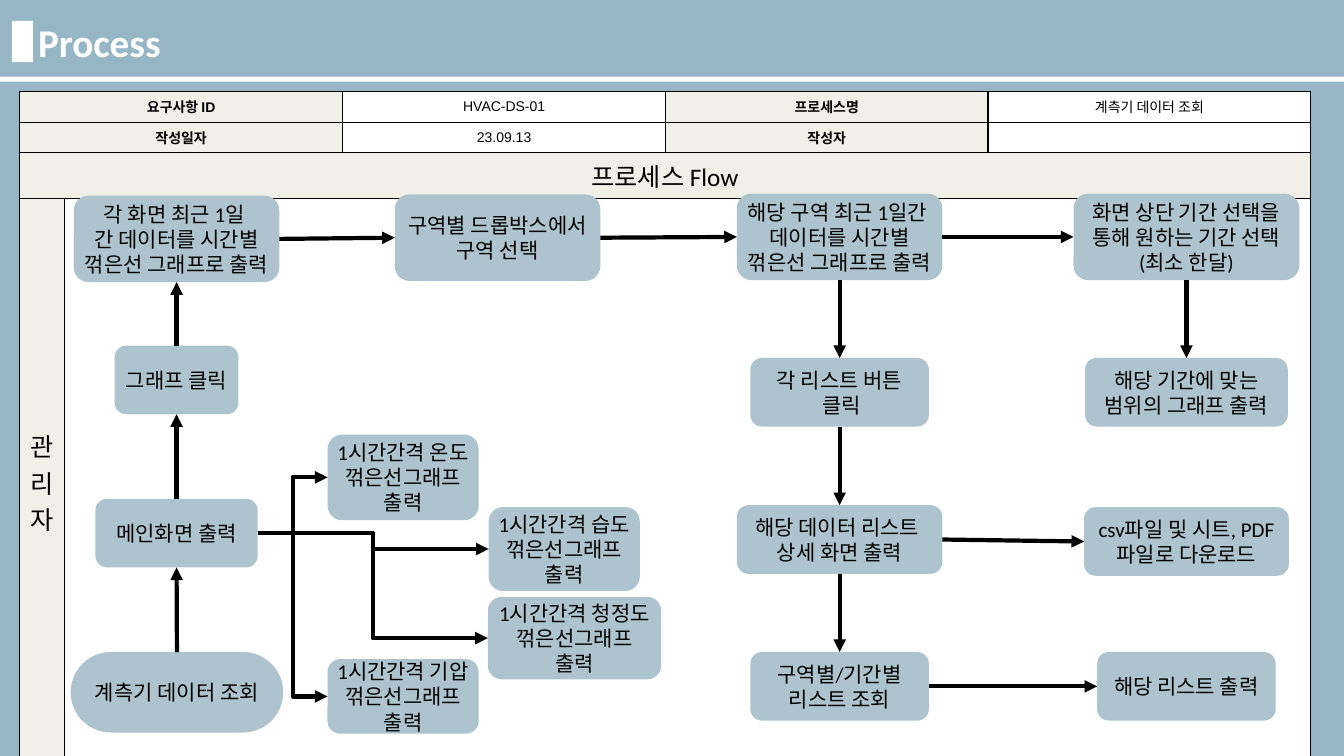
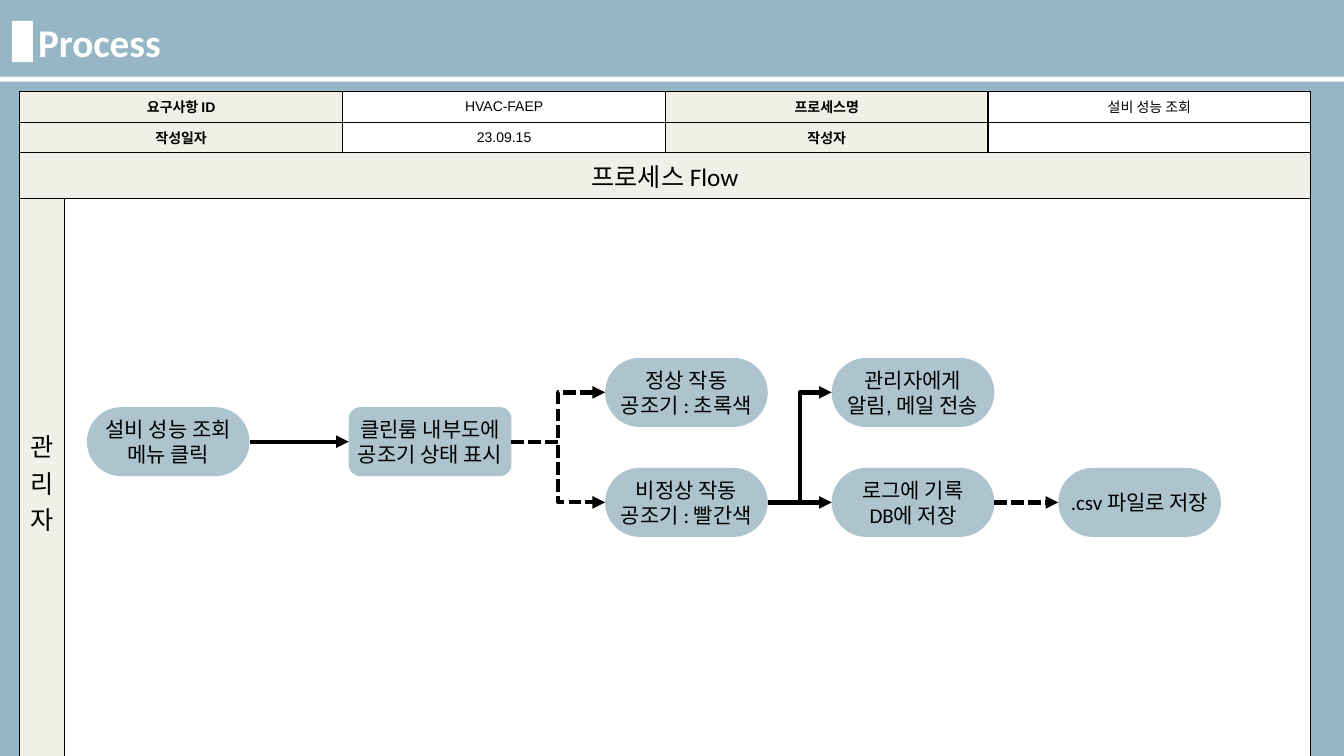
from pptx import Presentation
from pptx.dml.color import RGBColor
from pptx.enum import dml, shapes, text
from pptx.oxml import parse_xml
from pptx.oxml.ns import nsdecls
from pptx.util import Cm, Pt

SKY, BLUE, CREAM, WHITE, BLACK = "96B6C5", "ADC4CE", "F1F0E8", "FFFFFF", "000000"
TOP, LEFT, BOTTOM, RIGHT = range(4)  # connection sites of a box
CENTER = text.PP_ALIGN.CENTER
LINE, ELBOW = shapes.MSO_CONNECTOR.STRAIGHT, shapes.MSO_CONNECTOR.ELBOW
RECT, ROUND = shapes.MSO_SHAPE.RECTANGLE, shapes.MSO_SHAPE.ROUNDED_RECTANGLE


def paint(fill, color):
    fill.solid()
    fill.fore_color.rgb = RGBColor.from_string(color)


def put(frame, words, size=15, font="Calibri", color=BLACK, bold=False, align=CENTER):
    for i, row in enumerate(words.split("\n")):
        para = frame.add_paragraph() if i else frame.paragraphs[0]
        para.alignment = align
        run = para.add_run()
        run.text = row
        run.font.size, run.font.name, run.font.bold = Pt(size), font, bold
        paint(run.font.fill, color)


# Nodes: centre x, top, width, height, corner, text (cm)
data = {
    "query": (4.46, 16.43, 5.36, 2.03, 0.5, "계측기 데이터 조회"),
    "main": (4.45, 12.57, 4.09, 1.73, 0.17, "메인화면 출력"),
    "graph": (4.45, 8.71, 3.12, 1.73, 0.17, "그래프 클릭"),
    "day": (4.45, 4.93, 5.18, 2.18, 0.17,
            "각 화면 최근 1일 \n간 데이터를 시간별\n꺾은선 그래프로 출력"),
    "drop": (12.54, 4.9, 5.18, 2.18, 0.17, "구역별 드롭박스에서\n구역 선택"),
    "zone": (21.16, 4.88, 5.18, 2.18, 0.17,
             "해당 구역 최근 1일간 \n데이터를 시간별\n꺾은선 그래프로 출력"),
    "term": (29.9, 4.88, 5.69, 2.18, 0.17,
             "화면 상단 기간 선택을\n통해 원하는 기간 선택\n(최소 한달)"),
    "range": (29.9, 9.02, 5.11, 1.73, 0.17, "해당 기간에 맞는\n범위의 그래프 출력"),
    "list": (21.16, 9.02, 4.5, 1.73, 0.17, "각 리스트 버튼\n 클릭"),
    "detail": (21.16, 12.73, 5.18, 1.73, 0.17, "해당 데이터 리스트 \n상세 화면 출력"),
    "file": (29.9, 12.78, 5.16, 1.73, 0.17, "csv파일 및 시트, PDF\n파일로 다운로드"),
    "past": (21.16, 16.43, 4.5, 1.73, 0.17, "구역별/기간별\n리스트 조회"),
    "show": (29.9, 16.43, 4.5, 1.73, 0.17, "해당 리스트 출력"),
}
for key, x, y, w, h, word in [
    ("temp", 10.16, 10.95, 3.81, 2.16, "온도"),
    ("humid", 14.22, 12.78, 3.81, 2.11, "습도"),
    ("clean", 14.48, 15.04, 4.37, 2.08, "청정도"),
    ("press", 10.16, 16.61, 3.81, 1.88, "기압"),
]:
    data[key] = (x, y, w, h, 0.17, f"1시간간격 {word}\n꺾은선그래프\n출력")

plant = {
    key: (x, y, 4.1, 1.74, corner, words)
    for key, x, y, corner, words in [
        ("menu", 4.24, 10.26, 0.5, "설비 성능 조회\n메뉴 클릭"),
        ("state", 10.84, 10.26, 0.17, "클린룸 내부도에\n공조기 상태 표시"),
        ("good", 17.3, 9.02, 0.5, "정상 작동\n공조기 : 초록색"),
        ("bad", 17.3, 11.79, 0.5, "비정상 작동\n공조기 : 빨간색"),
        ("alert", 23.01, 9.02, 0.5, "관리자에게\n알림, 메일 전송"),
        ("log", 23.01, 11.79, 0.5, "로그에 기록\nDB에 저장"),
        ("save", 28.72, 11.79, 0.5, ".csv 파일로 저장"),
    ]
}

# Arrows: way, kind, dashed, pairs of nodes
UP, DOWN, ACROSS = (TOP, BOTTOM), (BOTTOM, TOP), (RIGHT, LEFT)
flows = [
    ("HVAC-DS-01", "계측기 데이터 조회", "23.09.13", data, [
        (UP, LINE, False, "query-main main-graph graph-day"),
        (DOWN, LINE, False, "zone-list list-detail detail-past term-range"),
        (ACROSS, LINE, False, "day-drop drop-zone zone-term detail-file past-show"),
        (ACROSS, ELBOW, False, "main-temp main-humid main-clean main-press"),
    ]),
    ("HVAC-FAEP", "설비 성능 조회", "23.09.15", plant, [
        (ACROSS, LINE, False, "menu-state bad-log"),
        (ACROSS, LINE, True, "log-save"),
        (ACROSS, ELBOW, False, "bad-alert"),
        (ACROSS, ELBOW, True, "state-good state-bad"),
    ]),
]

deck = Presentation()
deck.slide_width, deck.slide_height = Cm(33.87), Cm(19.05)
paint(deck.slide_master.background.fill, SKY)

for code, name, date, nodes, links in flows:
    slide = deck.slides.add_slide(deck.slide_layouts[6])
    art = slide.shapes

    # Table
    grid = art.add_table(4, 5, Cm(0.49), Cm(2.31), Cm(32.54), Cm(16.98)).table
    for col, w in zip(grid.columns, (1.14, 7.01, 8.13, 8.13, 8.13)):
        col.width = Cm(w)
    for row, h in zip(grid.rows, (0.77, 0.77, 1.16, 14.28)):
        row.height = Cm(h)
    for r in range(4):
        for c in range(5):
            cell = grid.cell(r, c)
            cell.margin_top = cell.margin_bottom = 0
            cell.vertical_anchor = text.MSO_ANCHOR.MIDDLE
            for side in "LRTB":
                cell._tc.get_or_add_tcPr().append(parse_xml(
                    f'<a:ln{side} {nsdecls("a")} w="12700"><a:solidFill>'
                    f'<a:srgbClr val="{BLACK}"/></a:solidFill></a:ln{side}>'))
            label = r == 2 or c == 0 or (r < 2 and c in (1, 3))
            paint(cell.fill, CREAM if label else WHITE)
    for r, first, last in ((0, 0, 1), (1, 0, 1), (2, 0, 4), (3, 1, 4)):
        grid.cell(r, first).merge(grid.cell(r, last))
    heads = [("요구사항 ID", code, "프로세스명", name), ("작성일자", date, "작성자", "")]
    for r, row in enumerate(heads):
        for i, (c, words) in enumerate(zip((0, 2, 3, 4), row)):
            put(grid.cell(r, c).text_frame, words, size=10, font="Arial", bold=i % 2 == 0)
    put(grid.cell(2, 0).text_frame, "프로세스 Flow", size=18)
    put(grid.cell(3, 0).text_frame, "관리자", size=18)

    # Title and bars
    title = art.add_textbox(Cm(0.71), Cm(0.33), Cm(30.4), Cm(1.45)).text_frame
    title.word_wrap = True
    put(title, "Process", size=28, color=WHITE, bold=True, align=text.PP_ALIGN.LEFT)
    for x, y, w, h in ((0.3, 0.53, 0.53, 1.04), (0, 1.93, 33.87, 0.13)):
        bar = art.add_shape(RECT, Cm(x), Cm(y), Cm(w), Cm(h))
        bar.shadow.inherit = False
        paint(bar.fill, WHITE)
        bar.line.fill.background()

    # Boxes
    boxes = {}
    for key, (x, y, w, h, corner, words) in nodes.items():
        box = boxes[key] = art.add_shape(ROUND, Cm(x - w / 2), Cm(y), Cm(w), Cm(h))
        box.adjustments[0] = corner
        box.shadow.inherit = False
        paint(box.fill, BLUE)
        box.line.fill.background()
        box.text_frame.word_wrap = False
        box.text_frame.vertical_anchor = text.MSO_ANCHOR.MIDDLE
        put(box.text_frame, words)

    # Arrows
    for (start, end), kind, dashed, pairs in links:
        for pair in pairs.split():
            a, b = pair.split("-")
            link = art.add_connector(kind, 0, 0, 0, 0)
            link.begin_connect(boxes[a], start)
            link.end_connect(boxes[b], end)
            link.line.width = Pt(3)
            paint(link.line.fill, BLACK)
            if dashed:
                link.line.dash_style = dml.MSO_LINE.SQUARE_DOT
            link.line._get_or_add_ln().append(
                parse_xml(f'<a:tailEnd {nsdecls("a")} type="triangle"/>'))
            link._element.spPr.append(parse_xml(f'<a:effectLst {nsdecls("a")}/>'))

deck.save("out.pptx")
